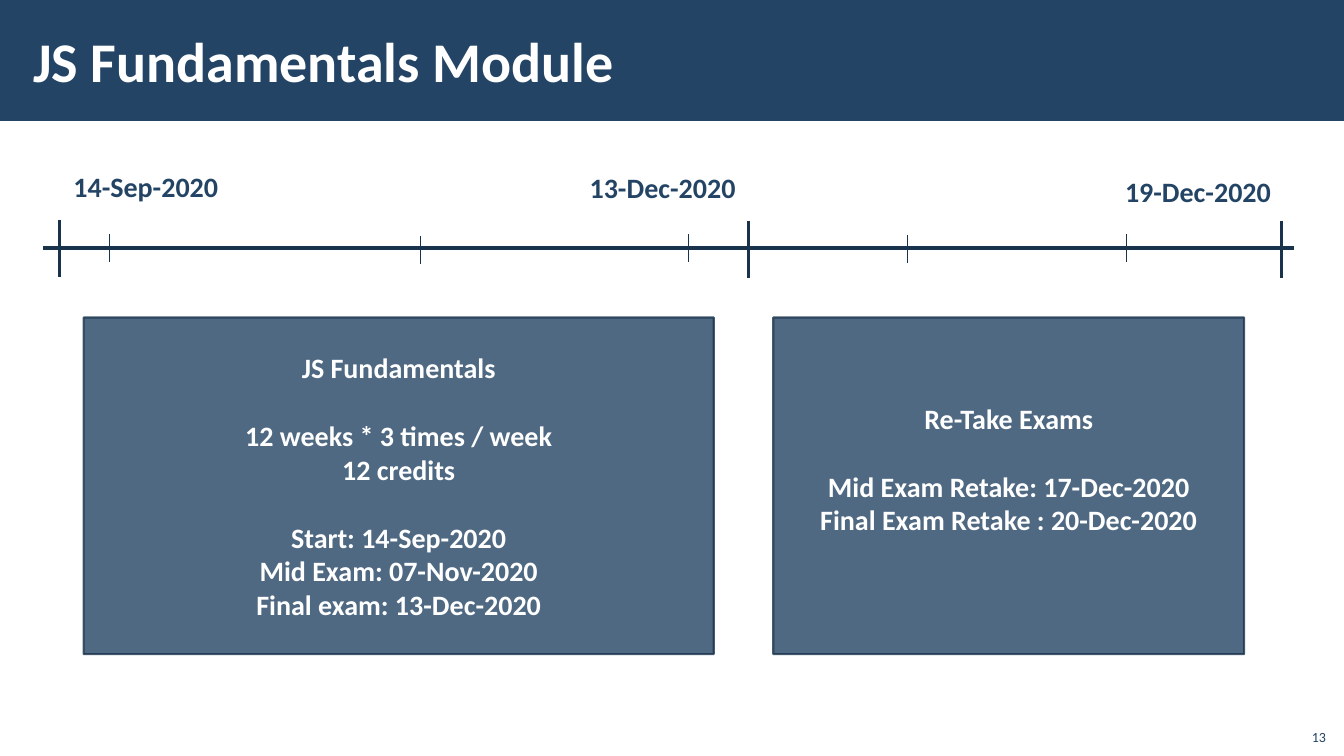
import pptx
import pptx.dml.color
import pptx.enum.shapes
import pptx.enum.text
import pptx.oxml.ns
import pptx.util
from lxml import etree

Inches = pptx.util.Inches
Pt = pptx.util.Pt
Align = pptx.enum.text.PP_ALIGN
Anchor = pptx.enum.text.MSO_ANCHOR

COLORS = {"navy": "234465", "line": "1A334C", "white": "FFFFFF"}
FONT = "Calibri"
LINE_GAP = 24.4  # height in points of one 20 pt line


def rgb(name):
    """Return the named colour."""
    return pptx.dml.color.RGBColor.from_string(COLORS[name])


def set_alpha(fill, percent):
    """Make a solid fill or line translucent."""
    for color in fill.iter(pptx.oxml.ns.qn("a:srgbClr")):
        etree.SubElement(color, pptx.oxml.ns.qn("a:alpha"), val=str(percent * 1000))


class SlideBuilder:
    """Holds the style and the current slide."""

    def __init__(self, presentation):
        """Add a title-only slide."""
        self.slide = presentation.slides.add_slide(presentation.slide_layouts[5])
        self.shapes = self.slide.shapes

    def style(self, paragraph, size, color, bold=True, align=Align.LEFT):
        """Format one paragraph."""
        paragraph.alignment = align
        font = paragraph.font
        font.name, font.size, font.bold = FONT, Pt(size), bold
        font.color.rgb = rgb(color)

    def title(self, text, left, top, width, height):
        """Place and format the title placeholder."""
        title = self.shapes.title
        title.left, title.top = Inches(left), Inches(top)
        title.width, title.height = Inches(width), Inches(height)
        frame = title.text_frame
        frame.text = text
        frame.auto_size = pptx.enum.text.MSO_AUTO_SIZE.NONE
        frame.vertical_anchor = Anchor.MIDDLE
        frame.margin_left = frame.margin_right = Inches(0.12)
        frame.margin_top = frame.margin_bottom = Inches(0.04)
        self.style(frame.paragraphs[0], 40, "white")

    def rectangle(self, left, top, width, height):
        """Add a plain navy rectangle."""
        shape = self.shapes.add_shape(
            pptx.enum.shapes.MSO_SHAPE.RECTANGLE,
            Inches(left), Inches(top), Inches(width), Inches(height))
        shape.shadow.inherit = False
        shape.fill.solid()
        shape.fill.fore_color.rgb = rgb("navy")
        shape.line.fill.background()
        return shape

    def title_band(self, width, height):
        """Add the band behind the title."""
        band = self.rectangle(0, 0, width, height)
        self.shapes.title.element.addprevious(band.element)

    def card(self, left, width, groups, lines_below=0):
        """Add a translucent card with groups of lines set one line apart."""
        shape = self.rectangle(left, 3.15, width, 3.34)
        shape.line.color.rgb = rgb("line")
        shape.line.width = Pt(1.5)
        set_alpha(shape.element.spPr, 80)
        frame = shape.text_frame
        frame.word_wrap = True
        frame.vertical_anchor = Anchor.MIDDLE
        frame.margin_bottom = Inches(0.05) + Pt(LINE_GAP * lines_below)
        frame.text = "\n".join(line for group in groups for line in group)
        paragraphs = iter(frame.paragraphs)
        for group_index, group in enumerate(groups):
            for line_index in range(len(group)):
                paragraph = next(paragraphs)
                self.style(paragraph, 20, "white", align=Align.CENTER)
                if group_index and not line_index:
                    paragraph.space_before = Pt(LINE_GAP)

    def line(self, x1, y1, x2, y2, weight):
        """Add a straight line without shadow."""
        connector = self.shapes.add_connector(
            pptx.enum.shapes.MSO_CONNECTOR.STRAIGHT,
            Inches(x1), Inches(y1), Inches(x2), Inches(y2))
        connector.line.color.rgb = rgb("line")
        connector.line.width = Pt(weight)
        etree.SubElement(connector.element.spPr, pptx.oxml.ns.qn("a:effectLst"))

    def label(self, text, left, top, width, height, size=20, bold=True,
              align=Align.LEFT, anchor=Anchor.TOP, wrap=False):
        """Add a navy text label."""
        box = self.shapes.add_textbox(
            Inches(left), Inches(top), Inches(width), Inches(height))
        frame = box.text_frame
        frame.text = text
        frame.word_wrap = wrap
        frame.vertical_anchor = anchor
        self.style(frame.paragraphs[0], size, "navy", bold, align)


def main():
    """Build the module schedule slide."""
    presentation = pptx.Presentation()
    presentation.slide_width = Inches(13.33)
    presentation.slide_height = Inches(7.5)
    builder = SlideBuilder(presentation)
    builder.title("JS Fundamentals Module", 0.21, 0.11, 10.63, 0.97)
    builder.title_band(13.33, 1.2)

    axis = 2.46
    builder.line(0.43, axis, 12.83, axis, 2.25)
    for x, top in ((0.59, 2.18), (7.42, 2.19), (12.71, 2.19)):
        builder.line(x, top, x, top + 0.57, 2.25)
    for x, top in ((1.08, 2.32), (4.17, 2.34), (6.83, 2.32), (9, 2.33), (11.17, 2.32)):
        builder.line(x, top, x, top + 0.28, 0.5)

    for date, left, top in (("14-Sep-2020", 0.63, 1.63),
                            ("13-Dec-2020", 5.75, 1.64),
                            ("19-Dec-2020", 11.06, 1.68)):
        builder.label(date, left, top, 1.66, 0.44)

    builder.card(0.83, 6.25, (
        ("JS Fundamentals",),
        ("12 weeks * 3 times / week", "12 credits"),
        ("Start: 14-Sep-2020", "Mid Exam: 07-Nov-2020", "Final exam: 13-Dec-2020")))
    builder.card(7.67, 4.67, (
        ("Re-Take Exams",),
        ("Mid Exam Retake: 17-Dec-2020", "Final Exam Retake : 20-Dec-2020")),
        lines_below=1)

    builder.label("13", 12.85, 7.12, 0.4, 0.32, size=10, bold=False,
                  align=Align.RIGHT, anchor=Anchor.BOTTOM, wrap=True)
    presentation.save("out.pptx")


main()
